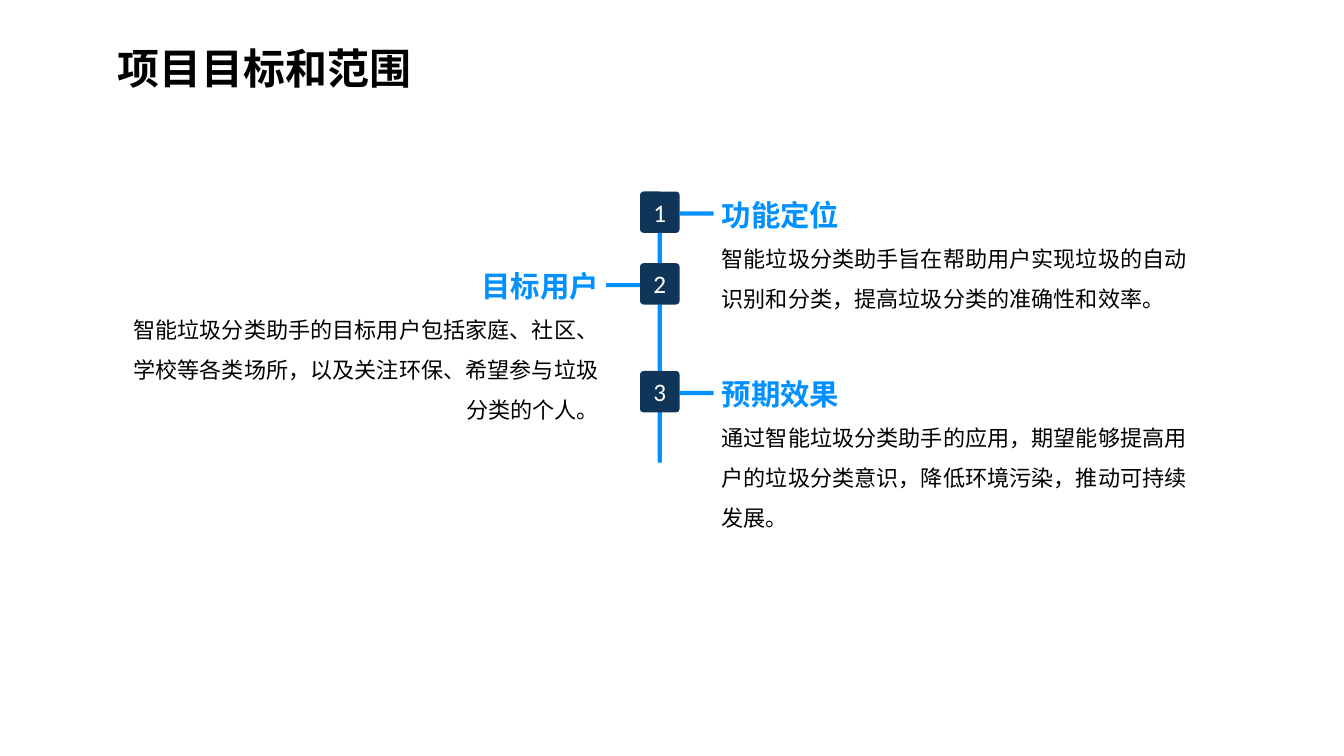
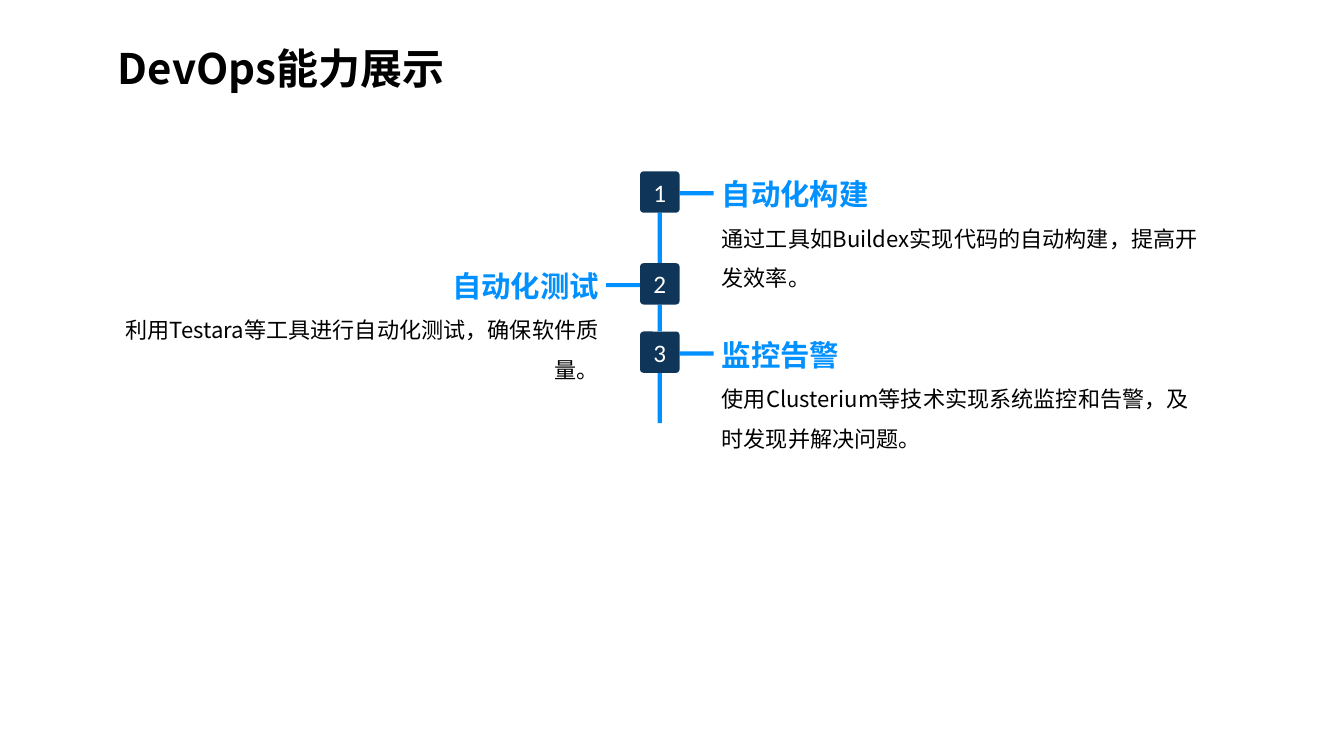
from pptx import Presentation
from pptx.dml.color import RGBColor
from pptx.enum.shapes import MSO_SHAPE
from pptx.enum.text import MSO_ANCHOR, MSO_AUTO_SIZE, PP_ALIGN
from pptx.oxml.ns import qn
from pptx.util import Pt
from lxml import etree

RECTANGLE = MSO_SHAPE.RECTANGLE
ROUNDED = MSO_SHAPE.ROUNDED_RECTANGLE
MIDDLE = MSO_ANCHOR.MIDDLE
GROW = MSO_AUTO_SIZE.SHAPE_TO_FIT_TEXT
LEFT, CENTER, RIGHT = PP_ALIGN.LEFT, PP_ALIGN.CENTER, PP_ALIGN.RIGHT

BLACK = RGBColor(0x00, 0x00, 0x00)
WHITE = RGBColor(0xFF, 0xFF, 0xFF)
BLUE = RGBColor(0x00, 0x90, 0xFF)
NAVY = RGBColor(0x0F, 0x35, 0x58)
TEXT_FONT = "Noto Sans CJK SC"
NUMBER_FONT = "Calibri"

TITLE_ONLY = 5
MARGIN = 77
AXIS = 471.3
BADGE_WIDTH, BADGE_HEIGHT = 28.2, 29.5
BAR = 3
BRANCH_LENGTH = 24.3
BRANCH_DROP = 14.2
TAIL = 36
TEXT_WIDTH = 358
RIGHT_TEXT = 508.4
HEADING_HEIGHT, LINE_HEIGHT = 33, 28.2

SLIDES = [
    ("项目目标和范围", [
        (136.8, 2, "功能定位",
         "智能垃圾分类助手旨在帮助用户实现垃圾的自动识别和分类，提高垃圾分类的准确性和效率。"),
        (188, 3, "目标用户",
         "智能垃圾分类助手的目标用户包括家庭、社区、学校等各类场所，以及关注环保、希望参与垃圾分类的个人。"),
        (265, 3, "预期效果",
         "通过智能垃圾分类助手的应用，期望能够提高用户的垃圾分类意识，降低环境污染，推动可持续发展。"),
    ]),
    ("DevOps能力展示", [
        (122.4, 2, "自动化构建",
         "通过工具如Buildex实现代码的自动构建，提高开发效率。"),
        (188, 2, "自动化测试",
         "利用Testara等工具进行自动化测试，确保软件质量。"),
        (236.8, 2, "监控告警",
         "使用Clusterium等技术实现系统监控和告警，及时发现并解决问题。"),
    ]),
]


def add_run(paragraph, text, size, color, bold=False, font=TEXT_FONT):
    run = paragraph.add_run()
    run.text = text
    run.font.size = Pt(size)
    run.font.bold = bold
    run.font.color.rgb = color
    run.font.name = font
    east_asian = etree.Element(qn("a:ea"), typeface=font)
    run.font._element.find(qn("a:latin")).addnext(east_asian)


def add_title(slide, text):
    title = slide.shapes.title
    title.left, title.top = Pt(MARGIN), Pt(8.6)
    title.width, title.height = Pt(738), Pt(61.2)
    frame = title.text_frame
    frame.word_wrap = True
    frame.auto_size = GROW
    frame.vertical_anchor = MIDDLE
    paragraph = frame.paragraphs[0]
    paragraph.alignment = LEFT
    paragraph.line_spacing = 1.5
    add_run(paragraph, text, 30, BLACK, bold=True)


def add_block(slide, kind, left, top, width, height, color):
    shape = slide.shapes.add_shape(kind, Pt(left), Pt(top), Pt(width), Pt(height))
    shape.shadow.inherit = False
    shape.fill.solid()
    shape.fill.fore_color.rgb = color
    shape.line.fill.background()
    return shape


def add_badge(slide, top, number):
    badge = add_block(slide, ROUNDED, AXIS - BADGE_WIDTH / 2, top,
                      BADGE_WIDTH, BADGE_HEIGHT, NAVY)
    badge.adjustments[0] = 0.09
    frame = badge.text_frame
    frame.margin_left = frame.margin_right = 0
    frame.margin_top = frame.margin_bottom = 0
    frame.vertical_anchor = MIDDLE
    paragraph = frame.paragraphs[0]
    paragraph.alignment = CENTER
    add_run(paragraph, str(number), 18, WHITE, font=NUMBER_FONT)


def add_description(slide, top, lines, heading, body, on_left):
    left = MARGIN if on_left else RIGHT_TEXT
    height = HEADING_HEIGHT + lines * LINE_HEIGHT
    box = slide.shapes.add_textbox(Pt(left), Pt(top), Pt(TEXT_WIDTH), Pt(height))
    frame = box.text_frame
    frame.word_wrap = True
    frame.auto_size = GROW
    frame.vertical_anchor = MIDDLE
    heading_paragraph = frame.paragraphs[0]
    body_paragraph = frame.add_paragraph()
    body_paragraph.line_spacing = 1.5
    for paragraph in (heading_paragraph, body_paragraph):
        paragraph.alignment = RIGHT if on_left else LEFT
    add_run(heading_paragraph, heading, 21, BLUE, bold=True)
    add_run(body_paragraph, body, 15.8, BLACK)


def add_step(slide, number, step, next_top):
    top, lines, heading, body = step
    on_left = number % 2 == 0
    add_description(slide, top, lines, heading, body, on_left)
    badge_bottom = top + BADGE_HEIGHT
    spine_end = badge_bottom + TAIL if next_top is None else next_top
    add_block(slide, RECTANGLE, AXIS - BAR / 2, badge_bottom,
              BAR, spine_end - badge_bottom, BLUE)
    half_badge = BADGE_WIDTH / 2
    branch_left = AXIS - half_badge - BRANCH_LENGTH if on_left else AXIS + half_badge
    add_block(slide, RECTANGLE, branch_left, top + BRANCH_DROP,
              BRANCH_LENGTH, BAR, BLUE)
    add_badge(slide, top, number)


def add_timeline_slide(presentation, title, steps):
    slide = presentation.slides.add_slide(presentation.slide_layouts[TITLE_ONLY])
    add_title(slide, title)
    next_tops = [step[0] for step in steps[1:]] + [None]
    for number, (step, next_top) in enumerate(zip(steps, next_tops), start=1):
        add_step(slide, number, step, next_top)


def main():
    presentation = Presentation()
    presentation.slide_width = Pt(960)
    presentation.slide_height = Pt(540)
    for title, steps in SLIDES:
        add_timeline_slide(presentation, title, steps)
    presentation.save("out.pptx")


if __name__ == "__main__":
    main()
